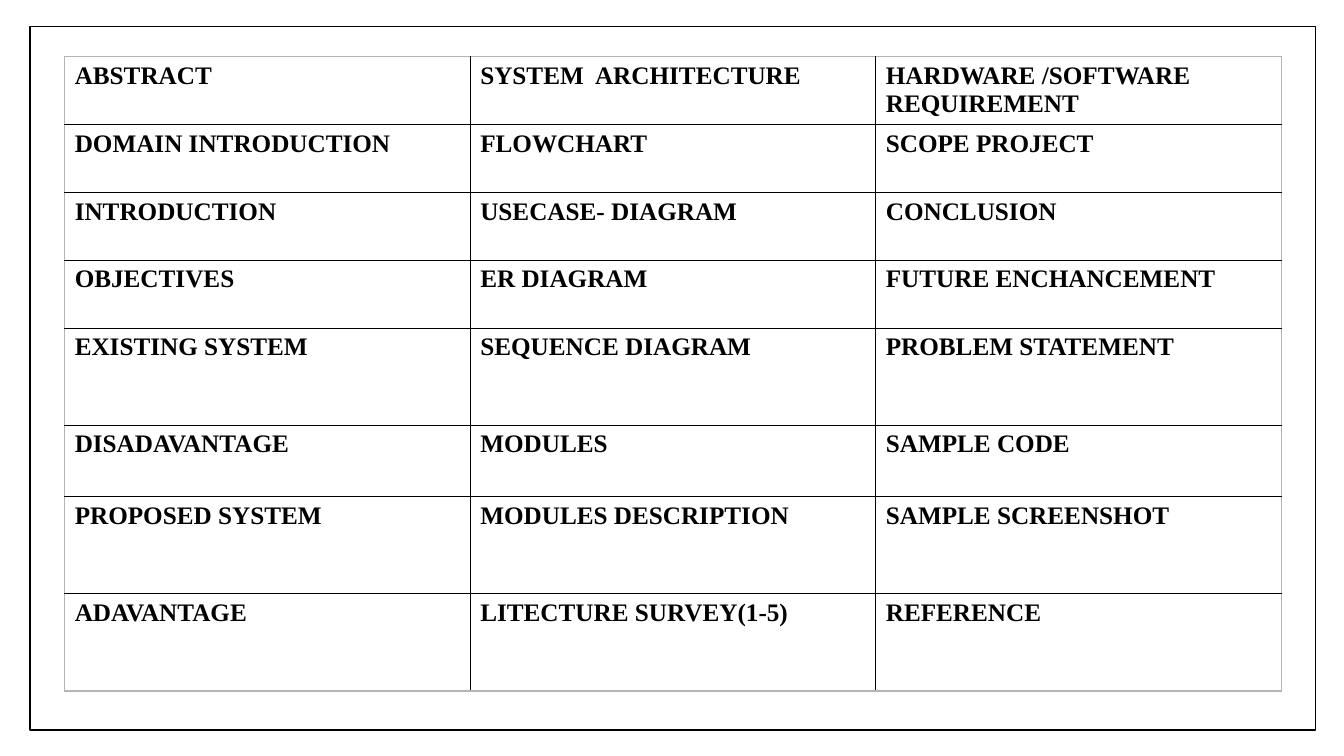
from dataclasses import dataclass

import lxml.etree
import pptx
import pptx.dml.color
import pptx.enum.shapes
import pptx.oxml.ns
import pptx.presentation
import pptx.slide
import pptx.table
import pptx.util

Cm = pptx.util.Cm
Pt = pptx.util.Pt

BLACK = "000000"
GRAY = "B4B4B4"
FONT = "Times New Roman"
COLUMN_WIDTH = 10.22


@dataclass
class AgendaRow:
    height: float
    topics: tuple[str, str, str]


AGENDA = [
    AgendaRow(1.71, ("ABSTRACT", "SYSTEM  ARCHITECTURE", "HARDWARE /SOFTWARE REQUIREMENT")),
    AgendaRow(1.71, ("DOMAIN INTRODUCTION", "FLOWCHART", "SCOPE PROJECT")),
    AgendaRow(1.71, ("INTRODUCTION", "USECASE- DIAGRAM", "CONCLUSION")),
    AgendaRow(1.71, ("OBJECTIVES", "ER DIAGRAM", "FUTURE ENCHANCEMENT")),
    AgendaRow(2.45, ("EXISTING SYSTEM", "SEQUENCE DIAGRAM", "PROBLEM STATEMENT")),
    AgendaRow(1.79, ("DISADAVANTAGE", "MODULES", "SAMPLE CODE")),
    AgendaRow(2.45, ("PROPOSED SYSTEM", "MODULES DESCRIPTION", "SAMPLE SCREENSHOT")),
    AgendaRow(2.45, ("ADAVANTAGE", "LITECTURE SURVEY(1-5)", "REFERENCE")),
]


def color(value: str) -> pptx.dml.color.RGBColor:
    return pptx.dml.color.RGBColor.from_string(value)


def add_frame(slide: pptx.slide.Slide) -> None:
    shape = slide.shapes.add_shape(
        pptx.enum.shapes.MSO_SHAPE.RECTANGLE, Cm(0.76), Cm(0.67), Cm(32.39), Cm(17.73)
    )
    shape.shadow.inherit = False
    shape.fill.background()
    shape.line.color.rgb = color(BLACK)
    shape.line.width = Pt(1)


def set_border(cell: pptx.table._Cell, side: str, value: str) -> None:
    """Add one solid border; sides must come in the order L, R, T, B."""
    qn = pptx.oxml.ns.qn
    properties = cell._tc.get_or_add_tcPr()
    line = lxml.etree.Element(qn(f"a:ln{side}"), w=str(Pt(1)))
    fill = lxml.etree.SubElement(line, qn("a:solidFill"))
    lxml.etree.SubElement(fill, qn("a:srgbClr"), val=value)
    properties.insert(len(properties.findall("*")), line)


def style_cell(cell: pptx.table._Cell, text: str, outer_sides: dict[str, bool]) -> None:
    cell.text = text
    font = cell.text_frame.paragraphs[0].font
    font.name = FONT
    font.size = Pt(18)
    font.bold = True
    font.color.rgb = color(BLACK)
    for side, is_outer in outer_sides.items():
        set_border(cell, side, GRAY if is_outer else BLACK)
    cell.fill.background()


def add_agenda(slide: pptx.slide.Slide, agenda: list[AgendaRow]) -> None:
    column_count = len(agenda[0].topics)
    table = slide.shapes.add_table(
        len(agenda), column_count, Cm(1.63), Cm(1.43),
        Cm(COLUMN_WIDTH * column_count), Cm(sum(row.height for row in agenda)),
    ).table
    table.first_row = False
    table.horz_banding = False
    for column in table.columns:
        column.width = Cm(COLUMN_WIDTH)
    for row_index, row in enumerate(agenda):
        table.rows[row_index].height = Cm(row.height)
        for column_index, topic in enumerate(row.topics):
            outer_sides = {
                "L": column_index == 0,
                "R": column_index == column_count - 1,
                "T": row_index == 0,
                "B": row_index == len(agenda) - 1,
            }
            style_cell(table.cell(row_index, column_index), topic, outer_sides)


def main() -> None:
    presentation = pptx.Presentation()
    presentation.slide_width = Cm(33.87)
    presentation.slide_height = Cm(19.05)
    slide = presentation.slides.add_slide(presentation.slide_layouts[6])

    # Border around the slide
    add_frame(slide)

    # Agenda table
    add_agenda(slide, AGENDA)

    presentation.save("out.pptx")


if __name__ == "__main__":
    main()
